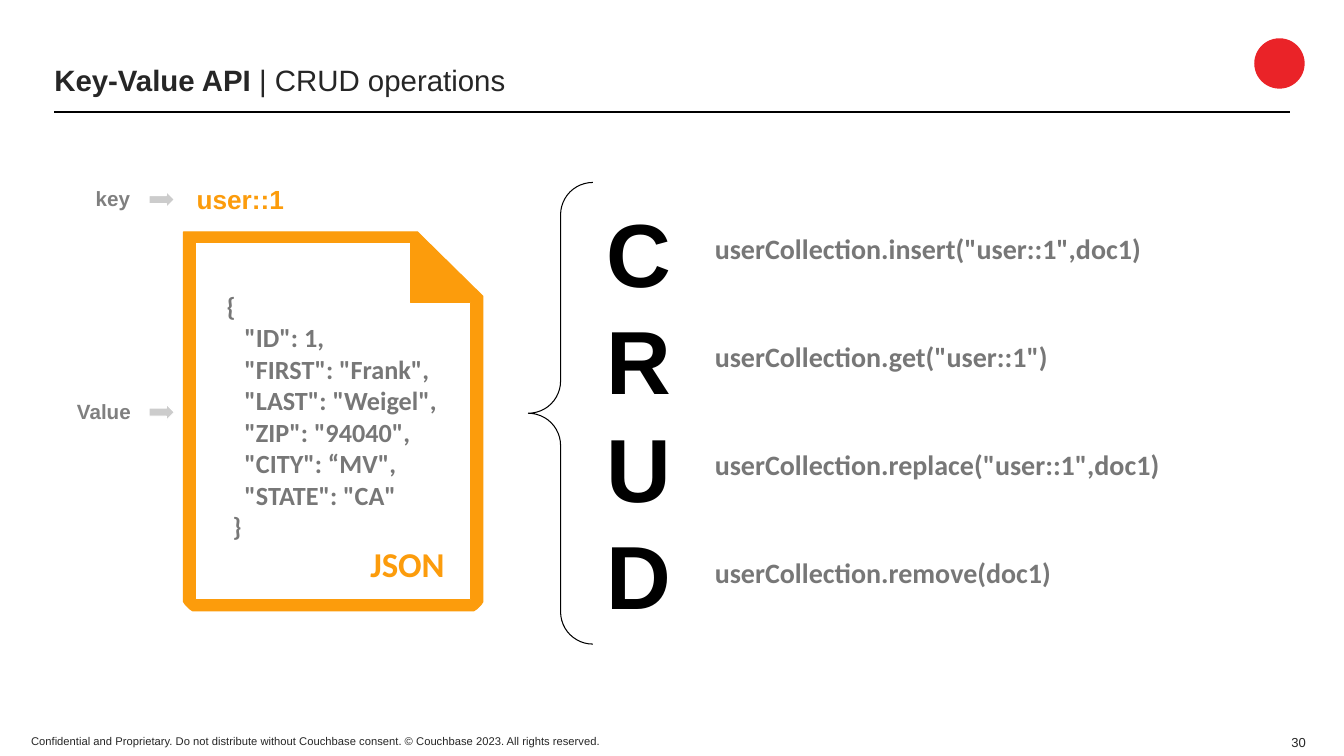
import math

import pptx
import pptx.util
from lxml import etree
from pptx.dml.color import RGBColor
from pptx.enum.shapes import MSO_CONNECTOR, MSO_SHAPE
from pptx.enum.text import MSO_ANCHOR, PP_ALIGN
from pptx.oxml.ns import qn
from pptx.util import Inches, Pt

BLACK = RGBColor(0x00, 0x00, 0x00)
WHITE = RGBColor(0xFF, 0xFF, 0xFF)
INK = RGBColor(0x26, 0x26, 0x26)
CODE_GRAY = RGBColor(0x77, 0x77, 0x77)
LABEL_GRAY = RGBColor(0x7F, 0x7F, 0x7F)
ARROW_GRAY = RGBColor(0xCC, 0xCC, 0xCC)
ORANGE = RGBColor(0xFC, 0x9C, 0x0C)
RED = RGBColor(0xEA, 0x23, 0x28)

prs = pptx.Presentation()
prs.slide_width = Inches(13.33)
prs.slide_height = Inches(7.5)
slide = prs.slides.add_slide(prs.slide_layouts[6])
shapes = slide.shapes


def add_text(text, left, top, width, height, size, color, font="Arial", bold=True,
             align=PP_ALIGN.LEFT, anchor=MSO_ANCHOR.TOP, inset_x=0.13, inset_y=0.13):
    """Add a text box in one style, one paragraph per line; return its frame."""
    frame = shapes.add_textbox(Inches(left), Inches(top), Inches(width), Inches(height)).text_frame
    frame.word_wrap = True
    frame.vertical_anchor = anchor
    frame.margin_left = frame.margin_right = Inches(inset_x)
    frame.margin_top = frame.margin_bottom = Inches(inset_y)
    frame.text = text
    for paragraph in frame.paragraphs:
        paragraph.alignment = align
        for run in paragraph.runs:
            run.font.size = Pt(size)
            run.font.name = font
            run.font.bold = bold
            run.font.color.rgb = color
    return frame


def paint(shape, fill, line=None):
    shape.shadow.inherit = False
    if fill is None:
        shape.fill.background()
    else:
        shape.fill.solid()
        shape.fill.fore_color.rgb = fill
    if line is None:
        shape.line.fill.background()
    else:
        shape.line.color.rgb = line
        shape.line.width = Pt(0.75)


# Footer, badge and title
add_text("Confidential and Proprietary. Do not distribute without Couchbase consent. "
         "© Couchbase 2023. All rights reserved.",
         0.21, 7.23, 5.97, 0.24, 8, INK, bold=False, anchor=MSO_ANCHOR.BOTTOM,
         inset_x=0.1, inset_y=0.05)
add_text("30", 12.69, 7.08, 0.36, 0.41, 9.3, INK, bold=False, align=PP_ALIGN.RIGHT,
         anchor=MSO_ANCHOR.BOTTOM, inset_x=0.1, inset_y=0.05)
badge = shapes.add_shape(MSO_SHAPE.OVAL, Inches(12.44), Inches(0.38), Inches(0.5), Inches(0.5))
paint(badge, RED)

title_rule = shapes.add_connector(MSO_CONNECTOR.STRAIGHT, Inches(0.54), Inches(1.11),
                                  Inches(12.79), Inches(1.11))
title_rule.line.color.rgb = BLACK
title_rule.line.width = Pt(1)
etree.SubElement(title_rule._element.spPr, qn("a:effectLst"))

title = add_text("Key-Value API ", 0.44, 0.51, 11.96, 0.6, 21, INK,
                 anchor=MSO_ANCHOR.MIDDLE, inset_x=0.1, inset_y=0.05).paragraphs[0]
title.line_spacing = 0.9
subtitle = title.add_run()
subtitle.text = "| CRUD operations"
subtitle.font.size = Pt(21)
subtitle.font.name = "Arial"
subtitle.font.bold = False
subtitle.font.color.rgb = INK

# JSON document in hundredths of an inch: white page, then an orange frame
# with rounded bottom corners
page = shapes.build_freeform(194, 241, scale=Inches(0.01))
page.add_line_segments([(422, 241), (479, 296), (479, 595), (194, 595)])
paint(page.convert_to_shape(), WHITE)

radius = 12
corners = [(round(center_x + radius * math.cos(math.radians(angle))),
            round(594 + radius * math.sin(math.radians(angle))))
           for center_x, start in ((467, 0), (194, 90))
           for angle in range(start, start + 91, 15)]
frame = shapes.build_freeform(182, 230, scale=Inches(0.01))
frame.add_line_segments([(414, 230), (479, 294)] + corners)
frame.move_to(194, 241)
frame.add_line_segments([(194, 595), (467, 595), (467, 300), (407, 300), (407, 241)])
paint(frame.convert_to_shape(), ORANGE, ORANGE)

document = """ {
    "ID": 1,
    "FIRST": "Frank",
    "LAST": "Weigel",
    "ZIP": "94040",
    "CITY": “MV",
    "STATE": "CA"
  }"""
add_text(document, 2.06, 2.81, 2.42, 2.65, 18.7, CODE_GRAY, "Calibri", inset_y=0.07)
add_text("JSON", 2.53, 5.31, 2.01, 0.55, 24.9, ORANGE, "Calibri",
         align=PP_ALIGN.RIGHT, inset_y=0.07)

# Key and value labels with their arrows
add_text("user::1", 1.82, 1.76, 3.06, 0.42, 18.7, ORANGE, anchor=MSO_ANCHOR.MIDDLE)
add_text("key", 0.82, 1.72, 0.76, 0.52, 14.7, LABEL_GRAY)
add_text("Value", 0.34, 3.83, 1.38, 0.52, 14.7, LABEL_GRAY, align=PP_ALIGN.CENTER)
for arrow_top in (1.9, 4.01):
    arrow = shapes.add_shape(MSO_SHAPE.RIGHT_ARROW, Inches(1.48), Inches(arrow_top),
                             Inches(0.25), Inches(0.16))
    paint(arrow, ARROW_GRAY, WHITE)

# CRUD letters and the call behind each one
calls = ['insert("user::1",doc1)', 'get("user::1")', 'replace("user::1",doc1)', 'remove(doc1)']
for row, call in enumerate(calls):
    add_text("userCollection." + call, 6.96, 2.17 + 1.07 * row, 6.03, 0.61, 20,
             CODE_GRAY, "Calibri")
add_text("C\nR\nU\nD", 5.89, 1.83, 0.76, 4.58, 64, BLACK)

brace = shapes.add_shape(MSO_SHAPE.LEFT_BRACE, Inches(5.24), Inches(1.81),
                         Inches(0.64), Inches(4.58))
brace.adjustments[0] = 0.5
brace.adjustments[1] = 0.5
paint(brace, None, BLACK)

prs.save("out.pptx")
